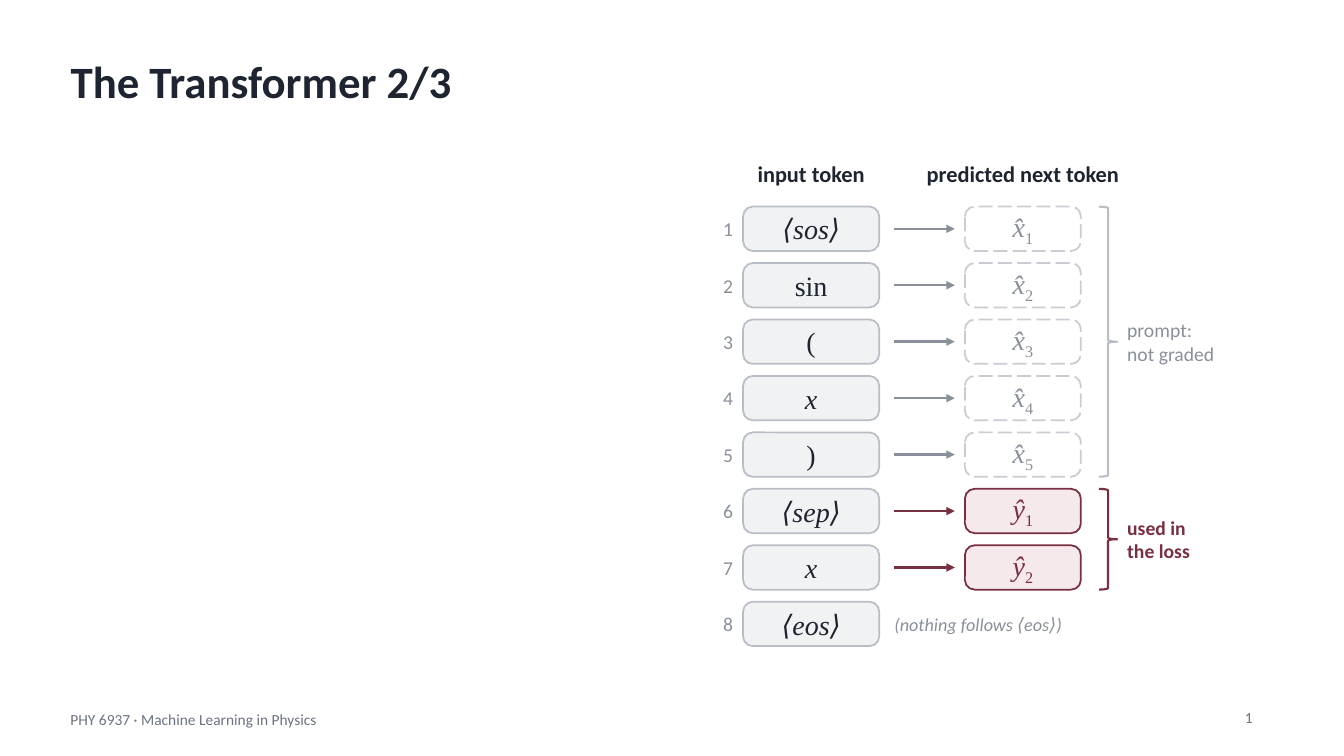
from lxml import etree
from pptx import Presentation
from pptx.dml.color import RGBColor
from pptx.enum.dml import MSO_LINE
from pptx.enum.shapes import MSO_CONNECTOR, MSO_SHAPE
from pptx.enum.text import MSO_ANCHOR, MSO_AUTO_SIZE, PP_ALIGN
from pptx.oxml.ns import qn
from pptx.util import Inches, Pt

LEFT, CENTER, RIGHT = PP_ALIGN.LEFT, PP_ALIGN.CENTER, PP_ALIGN.RIGHT
MIDDLE, TOP = MSO_ANCHOR.MIDDLE, MSO_ANCHOR.TOP
ROUNDED, BRACE = MSO_SHAPE.ROUNDED_RECTANGLE, MSO_SHAPE.RIGHT_BRACE
STRAIGHT, LONG_DASH = MSO_CONNECTOR.STRAIGHT, MSO_LINE.LONG_DASH
NO_FIT = MSO_AUTO_SIZE.NONE

SANS, SERIF = "Calibri", "Times New Roman"
INK, GRAY, FOOTER_GRAY, GARNET = "1E2530", "8A909A", "6B7280", "782F40"
TOKEN_FILL, TOKEN_LINE = "F1F2F4", "B9BEC6"
PROMPT_LINE, LOSS_FILL = "C9CDD3", "F6E9EC"

# Row grid and columns, in inches
ROW_TOP, ROW_STEP, ROW_HEIGHT = 2.05, 0.56, 0.44
NUMBER_LEFT, TOKEN_LEFT, ARROW_LEFT = 6.95, 7.37, 8.87
PREDICTION_LEFT, BRACE_LEFT, NOTE_LEFT = 9.57, 10.9, 11.18

# Input token and whether it is set in italics
TOKENS = [("⟨sos⟩", True), ("sin", False), ("(", False), ("x", True),
          (")", False), ("⟨sep⟩", True), ("x", True), ("⟨eos⟩", True)]
PROMPT_COUNT = 5
PREDICTION_COUNT = 7


def color(hex_string):
    return RGBColor.from_string(hex_string)


def row_top(row):
    return ROW_TOP + row * ROW_STEP


def style_font(font, size, hex_color, name=SANS, bold=False, italic=False):
    font.size, font.name = Pt(size), name
    font.bold, font.italic = bold, italic
    font.color.rgb = color(hex_color)


def add_run(para, text, size, hex_color, **style):
    span = para.add_run()
    span.text = text
    style_font(span.font, size, hex_color, **style)
    return span


def prepare_frame(frame, align, inset=0.0, anchor=MIDDLE):
    frame.word_wrap = True
    frame.vertical_anchor = anchor
    frame.margin_left = frame.margin_right = Inches(inset)
    frame.margin_top = frame.margin_bottom = Inches(inset / 2)
    para = frame.paragraphs[0]
    para.alignment = align
    return para


def add_label(shapes, place, lines, size, hex_color, align=LEFT, **style):
    box = shapes.add_textbox(*map(Inches, place))
    para = prepare_frame(box.text_frame, align)
    for index, line in enumerate(lines):
        if index:
            para.add_line_break()
        add_run(para, line, size, hex_color, **style)


def add_outline(shapes, kind, place, line_color, width, fill=None):
    shape = shapes.add_shape(kind, *map(Inches, place))
    shape.shadow.inherit = False
    if fill:
        shape.fill.solid()
        shape.fill.fore_color.rgb = color(fill)
    else:
        shape.fill.background()
    shape.line.color.rgb = color(line_color)
    shape.line.width = Pt(width)
    return shape


def add_token_box(shapes, left, row, width, line_color, fill=None):
    place = (left, row_top(row), width, ROW_HEIGHT)
    box = add_outline(shapes, ROUNDED, place, line_color, 1.25, fill)
    box.adjustments[0] = 0.22
    return box, prepare_frame(box.text_frame, CENTER)


def add_arrow(shapes, row, hex_color):
    y = Inches(row_top(row) + ROW_HEIGHT / 2)
    arrow = shapes.add_connector(
        STRAIGHT, Inches(ARROW_LEFT), y, Inches(ARROW_LEFT + 0.6), y)
    arrow.line.color.rgb = color(hex_color)
    arrow.line.width = Pt(1.75)
    etree.SubElement(arrow.line._ln, qn("a:tailEnd"), type="triangle")
    properties = arrow._element.spPr
    etree.SubElement(properties, qn("a:effectLst"))


def add_prediction(shapes, row):
    graded = row >= PROMPT_COUNT
    line_color, fill = (GARNET, LOSS_FILL) if graded else (PROMPT_LINE, None)
    text_color = GARNET if graded else GRAY
    symbol = "ŷ" if graded else "x̂"
    number = row - PROMPT_COUNT + 1 if graded else row + 1
    add_arrow(shapes, row, text_color)
    box, para = add_token_box(shapes, PREDICTION_LEFT, row, 1.15, line_color, fill)
    if not graded:
        box.line.dash_style = LONG_DASH
    add_run(para, symbol, 20, text_color, name=SERIF, italic=True)
    subscript = add_run(para, str(number), 20, text_color, name=SERIF)
    subscript.font._element.set("baseline", "-25000")


def add_bracket(shapes, first, last, line_color, lines, text_color, bold):
    top = row_top(first)
    height = row_top(last) + ROW_HEIGHT - top
    add_outline(shapes, BRACE, (BRACE_LEFT, top, 0.18, height), line_color, 1.5)
    note_top = top + height / 2 - 0.3
    add_label(shapes, (NOTE_LEFT, note_top, 1.4, 0.6), lines, 14, text_color,
              bold=bold)


def add_title(page, text):
    title = page.shapes.title
    title.left, title.top = Inches(0.6), Inches(0.32)
    title.width, title.height = Inches(12.13), Inches(0.95)
    para = prepare_frame(title.text_frame, LEFT, inset=0.1)
    title.text_frame.auto_size = NO_FIT
    add_run(para, text, 32, INK, bold=True)


def add_footer_text(page, place, text, field=False):
    box = page.shapes.add_textbox(*map(Inches, place))
    para = prepare_frame(box.text_frame, LEFT, inset=0.1, anchor=TOP)
    box.text_frame.word_wrap = False
    span = add_run(para, text, 11, FOOTER_GRAY)
    if field:
        # A slide number field takes over the content of the run
        number = etree.SubElement(
            para._p, qn("a:fld"), type="slidenum",
            id="{B6F15528-21DE-4FAA-801E-634DDDAF4B2B}")
        number.extend(list(span._r))
        para._p.remove(span._r)


def main():
    deck = Presentation()
    deck.slide_width, deck.slide_height = Inches(13.33), Inches(7.5)
    page = deck.slides.add_slide(deck.slide_layouts[5])

    # Title and footer
    add_title(page, "The Transformer 2/3")
    add_footer_text(page, (0.6, 7, 2.96, 0.34),
                    "PHY 6937 · Machine Learning in Physics")
    add_footer_text(page, (12.25, 6.98, 0.46, 0.37), "1", field=True)

    # Column headings
    diagram = page.shapes.add_group_shape().shapes
    for left, width, heading in [(7.32, 1.45, "input token"),
                                 (8.82, 2.65, "predicted next token")]:
        add_label(diagram, (left, 1.55, width, 0.35), [heading], 16, INK,
                  CENTER, bold=True)

    # Token rows
    for row, (token, italic) in enumerate(TOKENS):
        add_label(diagram, (NUMBER_LEFT, row_top(row), 0.32, ROW_HEIGHT),
                  [str(row + 1)], 14, GRAY, RIGHT)
        _, para = add_token_box(diagram, TOKEN_LEFT, row, 1.35, TOKEN_LINE,
                                TOKEN_FILL)
        add_run(para, token, 20, INK, name=SERIF, italic=italic)
        if row < PREDICTION_COUNT:
            add_prediction(diagram, row)
    add_label(diagram, (ARROW_LEFT, row_top(PREDICTION_COUNT), 2.2, ROW_HEIGHT),
              ["(nothing follows ⟨eos⟩)"], 13, GRAY, italic=True)

    # Brackets with notes
    add_bracket(diagram, 0, PROMPT_COUNT - 1, TOKEN_LINE,
                ["prompt:", "not graded"], GRAY, False)
    add_bracket(diagram, PROMPT_COUNT, PREDICTION_COUNT - 1, GARNET,
                ["used in", "the loss"], GARNET, True)

    deck.save("out.pptx")


if __name__ == "__main__":
    main()
